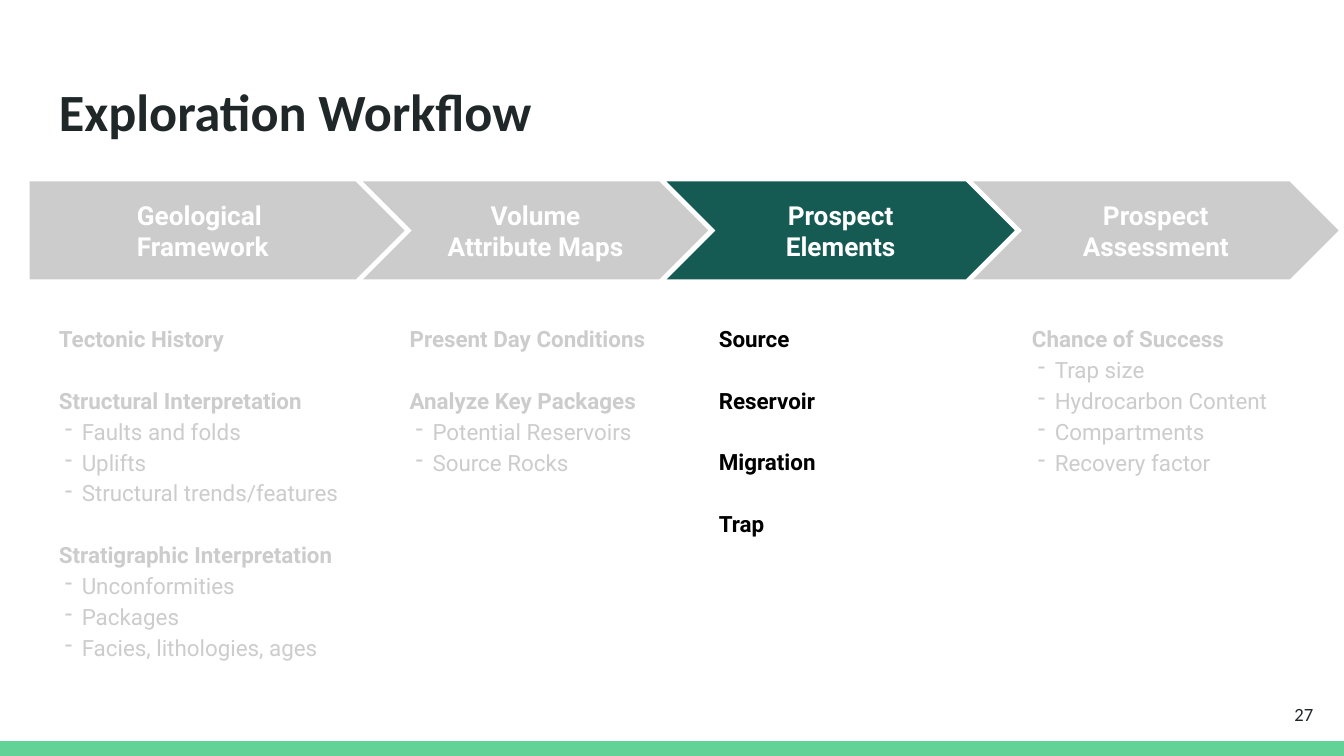
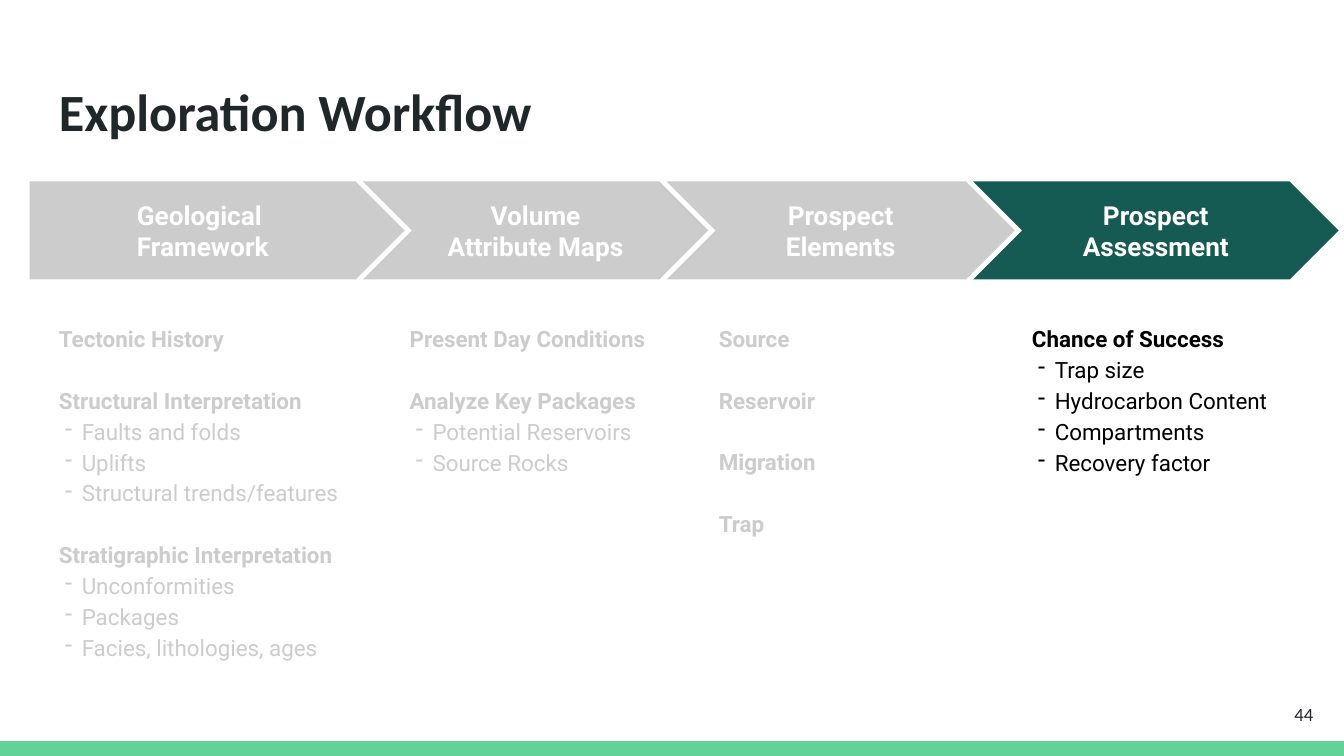
from lxml import etree
from pptx import Presentation
from pptx.dml.color import RGBColor
from pptx.enum.shapes import MSO_SHAPE
from pptx.enum.text import MSO_ANCHOR, PP_ALIGN
from pptx.oxml.ns import qn
from pptx.util import Inches, Pt

RECTANGLE, PENTAGON, CHEVRON = MSO_SHAPE.RECTANGLE, MSO_SHAPE.PENTAGON, MSO_SHAPE.CHEVRON
TOP, MIDDLE = MSO_ANCHOR.TOP, MSO_ANCHOR.MIDDLE
LEFT, CENTER, RIGHT = PP_ALIGN.LEFT, PP_ALIGN.CENTER, PP_ALIGN.RIGHT

# The grid has square cells: 100 columns across the slide.
CELL = Inches(0.1)
COLUMNS, ROWS = 100, 56.25

COLORS = {
    "band": "63D297",
    "title": "202729",
    "active": "155B54",
    "muted": "CCCCCC",
    "strong": "000000",
    "white": "FFFFFF",
}
HEADING_FONT, BODY_FONT = "Calibri", "Roboto"

ARROW_TOP, ARROW_HEIGHT, ARROW_OVERLAP = 13.5, 7.3, 3.1
ARROW_EDGES = [2.2, 27, 49.6, 72.4, 96.5]
TOPICS_TOP, TOPICS_HEIGHT = 22.9, 28.6

# Each stage: arrow lines, topic column (left, width), topics with their details.
STAGES = [
    (["Geological", "Framework"], (3.4, 23.6), [
        ("Tectonic History", []),
        ("Structural Interpretation",
         ["Faults and folds", "Uplifts", "Structural trends/features"]),
        ("Stratigraphic Interpretation",
         ["Unconformities", "Packages", "Facies, lithologies, ages"]),
    ]),
    (["Volume", "Attribute Maps"], (29.5, 20.7), [
        ("Present Day Conditions", []),
        ("Analyze Key Packages", ["Potential Reservoirs", "Source Rocks"]),
    ]),
    (["Prospect", "Elements"], (52.5, 19.4), [
        ("Source", []), ("Reservoir", []), ("Migration", []), ("Trap", []),
    ]),
    (["Prospect Assessment"], (75.8, 20.4), [
        ("Chance of Success",
         ["Trap size", "Hydrocarbon Content", "Compartments", "Recovery factor"]),
    ]),
]


def cells(*counts):
    return [round(count * CELL) for count in counts]


def write(paragraph, text, *, size, color, font=BODY_FONT, bold=False, align=LEFT,
          spacing=None, before=0, margin=0, dash=False):
    """Fill a paragraph; margin is in cells, dash gives it a hanging dash bullet."""
    properties = paragraph._p.get_or_add_pPr()
    properties.set("marL", str(cells(margin)[0]))
    properties.set("indent", str(cells(-1.25 if dash else 0)[0]))
    if dash:
        etree.SubElement(properties, qn("a:buChar")).set("char", "-")
    else:
        etree.SubElement(properties, qn("a:buNone"))
    paragraph.alignment = align
    if spacing:
        paragraph.line_spacing = spacing
    if before:
        paragraph.space_before = Pt(before)
    run = paragraph.add_run()
    run.text = text
    run.font.name, run.font.size, run.font.bold = font, Pt(size), bold
    run.font.color.rgb = RGBColor.from_string(COLORS[color])


class Deck:
    def __init__(self):
        self.presentation = Presentation()
        self.presentation.slide_width, self.presentation.slide_height = cells(COLUMNS, ROWS)
        self.slide = None

    def new_slide(self, title, number):
        self.slide = self.presentation.slides.add_slide(self.presentation.slide_layouts[6])
        self.shape(RECTANGLE, (0, ROWS - 1.1, COLUMNS, 1.1), "band")
        self.text((3.4, 4.9, 93.2, 6.3), [(title, {"bold": True})],
                  size=28, color="title", font=HEADING_FONT)
        self.text((92.7, 51, 6, 4.3), [(str(number), {})], anchor=MIDDLE,
                  size=10, color="title", font=HEADING_FONT, align=RIGHT)

    def shape(self, preset, box, fill):
        shape = self.slide.shapes.add_shape(preset, *cells(*box))
        shape.shadow.inherit = False
        shape.fill.solid()
        shape.fill.fore_color.rgb = RGBColor.from_string(COLORS[fill])
        shape.line.fill.background()
        return shape

    def text(self, box, lines, anchor=TOP, **style):
        self.fill_frame(self.slide.shapes.add_textbox(*cells(*box)), lines, anchor, **style)

    def fill_frame(self, holder, lines, anchor, **style):
        """Write (text, own format) lines that share a style."""
        frame = holder.text_frame
        frame.word_wrap = True
        frame.vertical_anchor = anchor
        frame.margin_left = frame.margin_right = CELL
        frame.margin_top = frame.margin_bottom = CELL
        for index, (line, own) in enumerate(lines):
            paragraph = frame.add_paragraph() if index else frame.paragraphs[0]
            write(paragraph, line, **{**style, **own})

    def arrow(self, left, width, lines, first, active):
        arrow = self.shape(PENTAGON if first else CHEVRON,
                           (left, ARROW_TOP, width, ARROW_HEIGHT),
                           "active" if active else "muted")
        arrow.adjustments[0] = 0.5
        placing = {"margin": 7} if first else {"align": CENTER}
        self.fill_frame(arrow, [(line, placing) for line in lines], MIDDLE,
                        size=14, color="white", bold=True)

    def topics(self, left, width, topics, active):
        lines = []
        for topic, details in topics:
            lines.append((topic, {"bold": True, "before": 16.5 if lines else 0}))
            lines += [(detail, {"dash": True, "margin": 1.7}) for detail in details]
        self.text((left, TOPICS_TOP, width, TOPICS_HEIGHT), lines, size=12,
                  color="strong" if active else "muted", spacing=1.15)

    def workflow(self, number, active_stage):
        self.new_slide("Exploration Workflow", number)
        for index, (label, column, topics) in enumerate(STAGES):
            left, following = ARROW_EDGES[index:index + 2]
            active = index == active_stage
            self.arrow(left, following + ARROW_OVERLAP - left, label, index == 0, active)
            self.topics(*column, topics, active)


def main():
    deck = Deck()
    deck.workflow(27, active_stage=2)
    deck.workflow(44, active_stage=3)
    deck.presentation.save("out.pptx")


if __name__ == "__main__":
    main()
